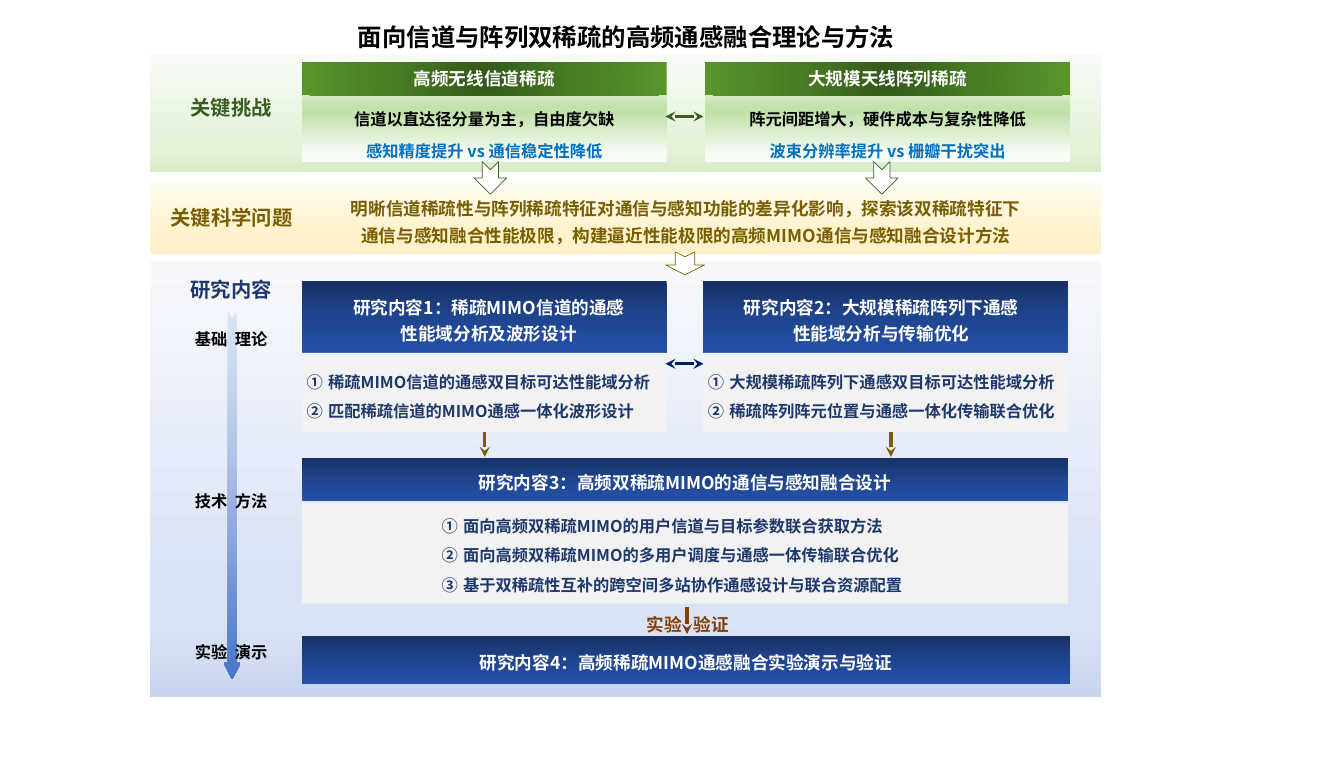
from dataclasses import dataclass
from typing import Any, Optional

import pptx
import pptx.dml.color
import pptx.enum.shapes
import pptx.enum.text
import pptx.oxml
import pptx.oxml.ns
import pptx.util

RGBColor = pptx.dml.color.RGBColor
MSO_SHAPE = pptx.enum.shapes.MSO_SHAPE
PP_ALIGN = pptx.enum.text.PP_ALIGN
MSO_ANCHOR = pptx.enum.text.MSO_ANCHOR
qn = pptx.oxml.ns.qn

FONT = "Noto Sans CJK SC"
WIDTH, HEIGHT = pptx.util.Inches(27.56), pptx.util.Inches(15.75)

BLACK = RGBColor(0x00, 0x00, 0x00)
WHITE = RGBColor(0xFF, 0xFF, 0xFF)
GREEN = RGBColor(0x3A, 0x5E, 0x21)
BLUE = RGBColor(0x00, 0x70, 0xC0)
GOLD = RGBColor(0x79, 0x5D, 0x01)
NAVY = RGBColor(0x1E, 0x38, 0x6B)
DEEP_NAVY = RGBColor(0x00, 0x20, 0x60)
BROWN = RGBColor(0x84, 0x3F, 0x0B)
GREY = RGBColor(0xF2, 0xF2, 0xF2)
PALE_GREEN = RGBColor(0xF8, 0xFC, 0xF6)
MIST_GREEN = RGBColor(0xE3, 0xF2, 0xD9)
LEAF_GREEN = RGBColor(0xC1, 0xE1, 0xAA)
SOFT_GREEN = RGBColor(0xD6, 0xEB, 0xC6)
PALE_GOLD = RGBColor(0xFF, 0xFC, 0xF2)
SOFT_GOLD = RGBColor(0xFF, 0xF2, 0xCA)
PALE_BLUE = RGBColor(0xF6, 0xF8, 0xFC)
MIST_BLUE = RGBColor(0xDA, 0xE3, 0xF5)
SOFT_BLUE = RGBColor(0xC8, 0xD5, 0xEF)
SKY_BLUE = RGBColor(0xB6, 0xC7, 0xEA)
STRONG_BLUE = RGBColor(0x48, 0x74, 0xCB)


@dataclass(frozen=True)
class Box:
    """Left, top, width and height in hundredths of the slide's sides."""
    left: float
    top: float
    width: float
    height: float

    def lengths(self) -> tuple[int, int, int, int]:
        return across(self.left), down(self.top), across(self.width), down(self.height)


@dataclass(frozen=True)
class Gradient:
    """Stops in percent; without an angle the colours spread from the centre."""
    stops: tuple[tuple[int, RGBColor], ...]
    angle: Optional[int] = 90


@dataclass(frozen=True)
class Text:
    """Lines of text; gap is the extra width in points given to a space."""
    lines: tuple[str, ...]
    size: int
    colour: RGBColor
    spacing: float = 1.0
    align: PP_ALIGN = PP_ALIGN.CENTER
    numbered: bool = False
    gap: float = 0


@dataclass(frozen=True)
class Card:
    left: float
    heading_left: float
    heading: tuple[str, ...]
    lines: tuple[str, ...]


CHALLENGE_BAND = Gradient(((0, PALE_GREEN), (74, MIST_GREEN), (83, MIST_GREEN), (100, SOFT_GREEN)))
QUESTION_BAND = Gradient(((0, PALE_GOLD), (74, SOFT_GOLD), (100, SOFT_GOLD)))
CONTENT_BAND = Gradient(((0, PALE_BLUE), (74, MIST_BLUE), (83, MIST_BLUE), (100, SOFT_BLUE)))
CHALLENGE_BODY = Gradient(((10, PALE_GREEN), (74, LEAF_GREEN), (83, LEAF_GREEN), (100, SOFT_GREEN)), 270)
CHALLENGE_HEAD = Gradient(((0, RGBColor(0x33, 0x58, 0x19)), (50, RGBColor(0x49, 0x7D, 0x24)),
                           (100, RGBColor(0x57, 0x95, 0x2B))), None)
CONTENT_HEAD = Gradient(((0, RGBColor(0x16, 0x30, 0x64)), (50, RGBColor(0x1F, 0x45, 0x8F)),
                         (100, RGBColor(0x25, 0x51, 0xA9))))
PROGRESS = Gradient(((0, MIST_BLUE), (35, SKY_BLUE), (100, STRONG_BLUE)), 0)

BAND_LEFT, BAND_WIDTH = 11.14, 70.75
LEFT, CARD_WIDTH, WIDE = 22.46, 27.14, 57.0

CHALLENGES = (
    Card(LEFT, LEFT, ("高频无线信道稀疏",),
         ("信道以直达径分量为主，自由度欠缺", "感知精度提升 vs 通信稳定性降低")),
    Card(52.47, 52.47, ("大规模天线阵列稀疏",),
         ("阵元间距增大，硬件成本与复杂性降低", "波束分辨率提升 vs 栅瓣干扰突出")),
)
CONTENTS = (
    Card(LEFT, 22.8, ("研究内容1：稀疏MIMO信道的通感", "性能域分析及波形设计"),
         ("稀疏MIMO信道的通感双目标可达性能域分析", "匹配稀疏信道的MIMO通感一体化波形设计")),
    Card(52.32, 52.0, ("研究内容2：大规模稀疏阵列下通感", "性能域分析与传输优化"),
         ("大规模稀疏阵列下通感双目标可达性能域分析", "稀疏阵列阵元位置与通感一体化传输联合优化")),
)
DESIGN_LINES = ("面向高频双稀疏MIMO的用户信道与目标参数联合获取方法",
                "面向高频双稀疏MIMO的多用户调度与通感一体传输联合优化",
                "基于双稀疏性互补的跨空间多站协作通感设计与联合资源配置")
SECTIONS = (("关键挑战", 13.82, 12.13, GREEN), ("关键科学问题", 12.34, 26.41, GOLD),
            ("研究内容", 13.82, 35.75, NAVY))
STAGES = (("基础 理论", 42.6), ("技术 方法", 63.68), ("实验 演示", 83.3))


def across(share: float) -> int:
    return round(WIDTH * share / 100)


def down(share: float) -> int:
    return round(HEIGHT * share / 100)


def write(shape: Any, text: Text, anchor: MSO_ANCHOR = MSO_ANCHOR.TOP) -> None:
    frame = shape.text_frame
    frame.word_wrap = True
    frame.auto_size = pptx.enum.text.MSO_AUTO_SIZE.NONE
    frame.vertical_anchor = anchor
    for index, line in enumerate(text.lines):
        para = frame.paragraphs[0] if index == 0 else frame.add_paragraph()
        para.alignment, para.line_spacing = text.align, text.spacing
        if text.numbered:
            properties = para._p.get_or_add_pPr()
            indent = pptx.util.Inches(0.44)
            properties.set("marL", str(indent))
            properties.set("indent", str(-indent))
            bullet = pptx.oxml.ns.nsdecls("a")
            properties.append(pptx.oxml.parse_xml(f'<a:buAutoNum {bullet} type="circleNumDbPlain"/>'))
        for piece in line.partition(" ") if text.gap else (line,):
            span = para.add_run()
            span.text = piece
            span.font.name, span.font.bold = FONT, True
            span.font.size = pptx.util.Pt(text.size)
            span.font.color.rgb = text.colour
            properties = span._r.get_or_add_rPr()
            east_asian = properties.makeelement(qn("a:ea"), {"typeface": FONT})
            properties.find(qn("a:latin")).addnext(east_asian)
            if piece == " ":
                properties.set("spc", str(round(text.gap * 100)))


def add_label(slide: Any, box: Box, text: Text) -> None:
    write(slide.shapes.add_textbox(*box.lengths()), text)


def add_filled(slide: Any, box: Box, fill: RGBColor | Gradient,
               kind: MSO_SHAPE = MSO_SHAPE.RECTANGLE, text: Optional[Text] = None) -> Any:
    shape = slide.shapes.add_shape(kind, *box.lengths())
    shape.shadow.inherit = False
    shape.line.fill.background()
    if isinstance(fill, Gradient):
        shape.fill.gradient()
        plain = shape._element.spPr.find(qn("a:gradFill"))
        stops = "".join(f'<a:gs pos="{pos * 1000}"><a:srgbClr val="{colour}"/></a:gs>'
                        for pos, colour in fill.stops)
        spread = ('<a:path path="circle"><a:fillToRect l="50000" t="50000" r="50000" b="50000"/></a:path>'
                  if fill.angle is None else f'<a:lin ang="{fill.angle * 60000}" scaled="0"/>')
        plain.getparent().replace(plain, pptx.oxml.parse_xml(
            f'<a:gradFill {pptx.oxml.ns.nsdecls("a")} rotWithShape="1">'
            f'<a:gsLst>{stops}</a:gsLst>{spread}</a:gradFill>'))
    else:
        shape.fill.solid()
        shape.fill.fore_color.rgb = fill
    if text:
        write(shape, text, MSO_ANCHOR.MIDDLE)
    return shape


def add_down_arrow(slide: Any, box: Box, fill: RGBColor | Gradient,
                   line: Optional[RGBColor] = None, notch: float = 0.5) -> None:
    """Draw a notched arrow; the box is the one before the quarter turn."""
    arrow = add_filled(slide, box, fill, MSO_SHAPE.NOTCHED_RIGHT_ARROW)
    arrow.rotation = 90
    arrow.adjustments[1] = notch
    if line is not None:
        arrow.line.color.rgb = line
        arrow.line.width = pptx.util.Pt(1)


def add_link(slide: Any, start: tuple[float, float], end: tuple[float, float],
             colour: RGBColor, ends: tuple[str, ...] = ("tailEnd",)) -> None:
    link = slide.shapes.add_connector(pptx.enum.shapes.MSO_CONNECTOR.STRAIGHT, across(start[0]),
                                      down(start[1]), across(end[0]), down(end[1]))
    link.line.color.rgb = colour
    link.line.width = pptx.util.Pt(5)
    outline = link.line._get_or_add_ln()
    for end_name in ends:
        outline.append(outline.makeelement(qn(f"a:{end_name}"), {"type": "stealth"}))
    properties = link._element.spPr
    properties.append(properties.makeelement(qn("a:effectLst"), {}))


def add_challenges(slide: Any) -> None:
    for card in CHALLENGES:
        add_filled(slide, Box(card.left, 12.38, CARD_WIDTH, 8.7), CHALLENGE_BODY)
        add_filled(slide, Box(card.left, 8.13, CARD_WIDTH, 4.25), CHALLENGE_HEAD,
                   text=Text(card.heading, 26, WHITE))
        for row, (line, colour) in enumerate(zip(card.lines, (BLACK, BLUE))):
            add_label(slide, Box(card.left, 12.7 + 4.06 * row, CARD_WIDTH, 4.06),
                      Text((line,), 24, colour, 1.5))


def add_contents(slide: Any) -> None:
    for card in CONTENTS:
        add_filled(slide, Box(card.left, 36.6, CARD_WIDTH, 9.33), CONTENT_HEAD)
        add_label(slide, Box(card.heading_left, 37.6, CARD_WIDTH, 7.56), Text(card.heading, 26, WHITE, 1.25))
        add_filled(slide, Box(card.left, 45.95, CARD_WIDTH, 10.3), GREY)
        add_label(slide, Box(card.left, 46.86, CARD_WIDTH, 7.87),
                  Text(card.lines, 24, NAVY, 1.5, PP_ALIGN.LEFT, True))
    add_filled(slide, Box(LEFT, 59.62, WIDE, 5.65), CONTENT_HEAD,
               text=Text(("研究内容3：高频双稀疏MIMO的通信与感知融合设计",), 26, WHITE, 1.25))
    add_filled(slide, Box(LEFT, 65.46, WIDE, 13.14), GREY)
    add_label(slide, Box(32.51, 65.65, 38.03, 11.75),
              Text(DESIGN_LINES, 24, NAVY, 1.5, PP_ALIGN.LEFT, True))
    add_filled(slide, Box(LEFT, 82.79, 57.15, 6.22), CONTENT_HEAD,
               text=Text(("研究内容4：高频稀疏MIMO通感融合实验演示与验证",), 26, WHITE, 1.25))


def main() -> None:
    deck = pptx.Presentation()
    deck.slide_width, deck.slide_height = WIDTH, HEIGHT
    page = deck.slides.add_slide(deck.slide_layouts[5])
    title = page.shapes.title
    title.left, title.top, title.width, title.height = Box(11.21, 2.54, BAND_WIDTH, 4.51).lengths()
    write(title, Text(("面向信道与阵列双稀疏的高频通感融合理论与方法",), 36, BLACK))

    for top, height, fill in ((7.05, 15.37, CHALLENGE_BAND), (23.68, 9.4, QUESTION_BAND),
                              (34.03, 56.7, CONTENT_BAND)):
        add_filled(page, Box(BAND_LEFT, top, BAND_WIDTH, height), fill)
    for name, left, top, colour in SECTIONS:
        add_label(page, Box(left, top, 10.52, 3.87), Text((name,), 30, colour, align=PP_ALIGN.LEFT))

    add_challenges(page)
    add_label(page, Box(LEFT, 24.83, 57.15, 7.24), Text(
        ("明晰信道稀疏性与阵列稀疏特征对通信与感知功能的差异化影响，探索该双稀疏特征下",
         "通信与感知融合性能极限，构建逼近性能极限的高频MIMO通信与感知融合设计方法"), 26, GOLD, 1.25))
    for left in (35.27, 64.4):
        add_down_arrow(page, Box(left, 21.04, 2.43, 4.25), WHITE, GREEN)
    add_down_arrow(page, Box(50.11, 31.75, 1.71, 5.08), WHITE, GOLD, 0.43)
    add_contents(page)

    add_down_arrow(page, Box(3.56, 63.37, 27.43, 2.22), PROGRESS, notch=0.98)
    for name, top in STAGES:
        add_label(page, Box(13.28, top, 7.84, 3.49), Text((name,), 24, BLACK, gap=5.4))

    for left in (36.07, 66.29):
        add_link(page, (left, 56.25), (left, 59.49), GOLD)
    add_link(page, (51.12, 79.05), (51.12, 82.54), BROWN)
    add_label(page, Box(47.42, 78.22, 7.51, 4.44), Text(("实验 验证",), 26, BROWN, 1.5, gap=11.6))
    for top, colour in ((15.17, GREEN), (47.37, DEEP_NAVY)):
        add_link(page, (49.51, top), (52.34, top), colour, ("headEnd", "tailEnd"))
    deck.save("out.pptx")


if __name__ == "__main__":
    main()
